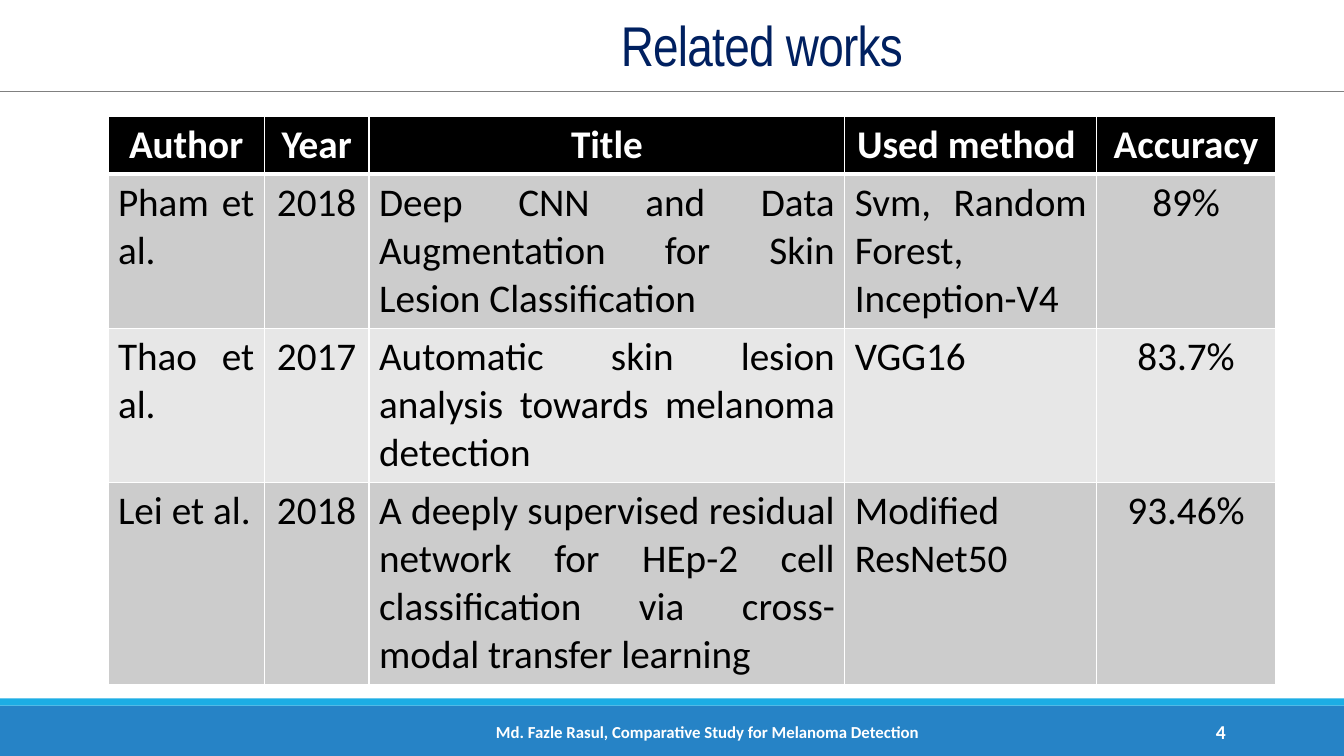
from dataclasses import dataclass

import pptx
import pptx.dml.color
import pptx.enum.shapes
import pptx.enum.text
import pptx.oxml
import pptx.oxml.ns
import pptx.util

Cm = pptx.util.Cm
Pt = pptx.util.Pt
RGBColor = pptx.dml.color.RGBColor
ALIGN = pptx.enum.text.PP_ALIGN
ANCHOR = pptx.enum.text.MSO_ANCHOR

WHITE = RGBColor(0xFF, 0xFF, 0xFF)
BLACK = RGBColor(0x00, 0x00, 0x00)
NAVY = RGBColor(0x00, 0x20, 0x60)
GRAY = RGBColor(0x80, 0x80, 0x80)
BLUE = RGBColor(0x26, 0x83, 0xC6)
CYAN = RGBColor(0x1C, 0xAD, 0xE4)
BAND_DARK = RGBColor(0xCC, 0xCC, 0xCC)
BAND_LIGHT = RGBColor(0xE7, 0xE7, 0xE7)

SLIDE_W, SLIDE_H = 33.87, 19.05


@dataclass
class Bar:
    top: float
    height: float
    color: RGBColor


@dataclass
class Label:
    text: str
    box: tuple[float, float, float, float]
    align: ALIGN
    anchor: ANCHOR
    font: dict
    line_spacing: float = 1.0
    tracking: int = 0


BARS = [Bar(17.78, 1.27, BLUE), Bar(17.6, 0.18, CYAN)]

FOOTER_FONT = {"name": "Calibri", "bold": True, "color": WHITE}
LABELS = [
    Label("Related works", (7.44, 0.25, 23.52, 1.83), ALIGN.CENTER, ANCHOR.BOTTOM,
          {"name": "Arial Narrow", "size": Pt(40), "color": NAVY}, 0.85, -50),
    Label("Md. Fazle Rasul, Comparative Study for Melanoma Detection",
          (10.24, 17.93, 15.19, 1.02), ALIGN.CENTER, ANCHOR.MIDDLE,
          {**FOOTER_FONT, "size": Pt(12)}),
    Label("4", (27.51, 17.93, 3.63, 1.02), ALIGN.RIGHT, ANCHOR.MIDDLE,
          {**FOOTER_FONT, "size": Pt(14)}),
]

COL_WIDTHS = [3.94, 2.64, 11.99, 6.35, 4.5]
ROW_HEIGHTS = [1.46, 3.88, 3.88, 5.1]
BODY_ALIGN = [ALIGN.JUSTIFY, ALIGN.CENTER, ALIGN.JUSTIFY, ALIGN.JUSTIFY, ALIGN.CENTER]
WORKS = [
    ["Author", "Year", "Title", "Used method ", "Accuracy"],
    ["Pham et al.", "2018", "Deep CNN and Data Augmentation for Skin Lesion Classification",
     "Svm, Random Forest, Inception-V4", "89%"],
    ["Thao et al.", "2017", "Automatic skin lesion analysis towards melanoma detection",
     "VGG16", "83.7%"],
    ["Lei et al.", "2018", "A deeply supervised residual network for HEp-2 cell "
     "classification via cross-modal transfer learning", "Modified ResNet50", "93.46%"],
]


def write(p, text: str, align: ALIGN, font: dict):
    p.alignment = align
    r = p.add_run()
    r.text = text
    for key, value in font.items():
        if key == "color":
            r.font.color.rgb = value
        else:
            setattr(r.font, key, value)
    return r


def add_bar(slide, bar: Bar) -> None:
    sp = slide.shapes.add_shape(pptx.enum.shapes.MSO_SHAPE.RECTANGLE,
                                0, Cm(bar.top), Cm(SLIDE_W), Cm(bar.height))
    sp.shadow.inherit = False
    sp.fill.solid()
    sp.fill.fore_color.rgb = bar.color
    sp.line.fill.background()


def add_rule(slide, top: float) -> None:
    line = slide.shapes.add_connector(pptx.enum.shapes.MSO_CONNECTOR.STRAIGHT,
                                      0, Cm(top), Cm(SLIDE_W), Cm(top))
    line.line.color.rgb = GRAY
    line.line.width = Pt(0.5)
    pptx.oxml.ns.qn("a:effectLst")
    line._element.spPr.append(
        pptx.oxml.parse_xml(f'<a:effectLst {pptx.oxml.ns.nsdecls("a")}/>'))


def add_label(slide, label: Label) -> None:
    tf = slide.shapes.add_textbox(*map(Cm, label.box)).text_frame
    tf.word_wrap = True
    tf.vertical_anchor = label.anchor
    p = tf.paragraphs[0]
    p.line_spacing = label.line_spacing
    r = write(p, label.text, label.align, label.font)
    if label.tracking:
        r._r.get_or_add_rPr().set("spc", str(label.tracking))


def set_borders(cell, widths: dict[str, float]) -> None:
    tc_pr = cell._tc.get_or_add_tcPr()
    for i, (side, width) in enumerate(widths.items()):
        tc_pr.insert(i, pptx.oxml.parse_xml(
            f'<a:ln{side} {pptx.oxml.ns.nsdecls("a")} w="{Pt(width)}">'
            f'<a:solidFill><a:srgbClr val="{WHITE}"/></a:solidFill></a:ln{side}>'))


def add_works_table(slide, left: float, top: float) -> None:
    table = slide.shapes.add_table(len(WORKS), len(COL_WIDTHS), Cm(left), Cm(top),
                                   Cm(sum(COL_WIDTHS)), Cm(sum(ROW_HEIGHTS))).table
    for column, width in zip(table.columns, COL_WIDTHS):
        column.width = Cm(width)
    for i, (row, height) in enumerate(zip(table.rows, ROW_HEIGHTS)):
        row.height = Cm(height)
        header = i == 0
        fill = BLACK if header else BAND_DARK if i % 2 else BAND_LIGHT
        font = {"name": "Calibri", "size": Pt(28), "bold": header,
                "color": WHITE if header else BLACK}
        borders = {"L": 1, "R": 1, "T": 3 if i == 1 else 1, "B": 3 if header else 1}
        for cell, text, align in zip(row.cells, WORKS[i], BODY_ALIGN):
            cell.fill.solid()
            cell.fill.fore_color.rgb = fill
            set_borders(cell, borders)
            write(cell.text_frame.paragraphs[0], text,
                  ALIGN.CENTER if header else align, font)


def main() -> None:
    prs = pptx.Presentation()
    prs.slide_width, prs.slide_height = Cm(SLIDE_W), Cm(SLIDE_H)
    slide = prs.slides.add_slide(prs.slide_layouts[6])

    # Footer bands and title rule
    for bar in BARS:
        add_bar(slide, bar)
    add_rule(slide, 2.29)

    # Related works table
    add_works_table(slide, 2.72, 2.93)

    # Title and footer text
    for label in LABELS:
        add_label(slide, label)

    prs.save("out.pptx")


if __name__ == "__main__":
    main()
